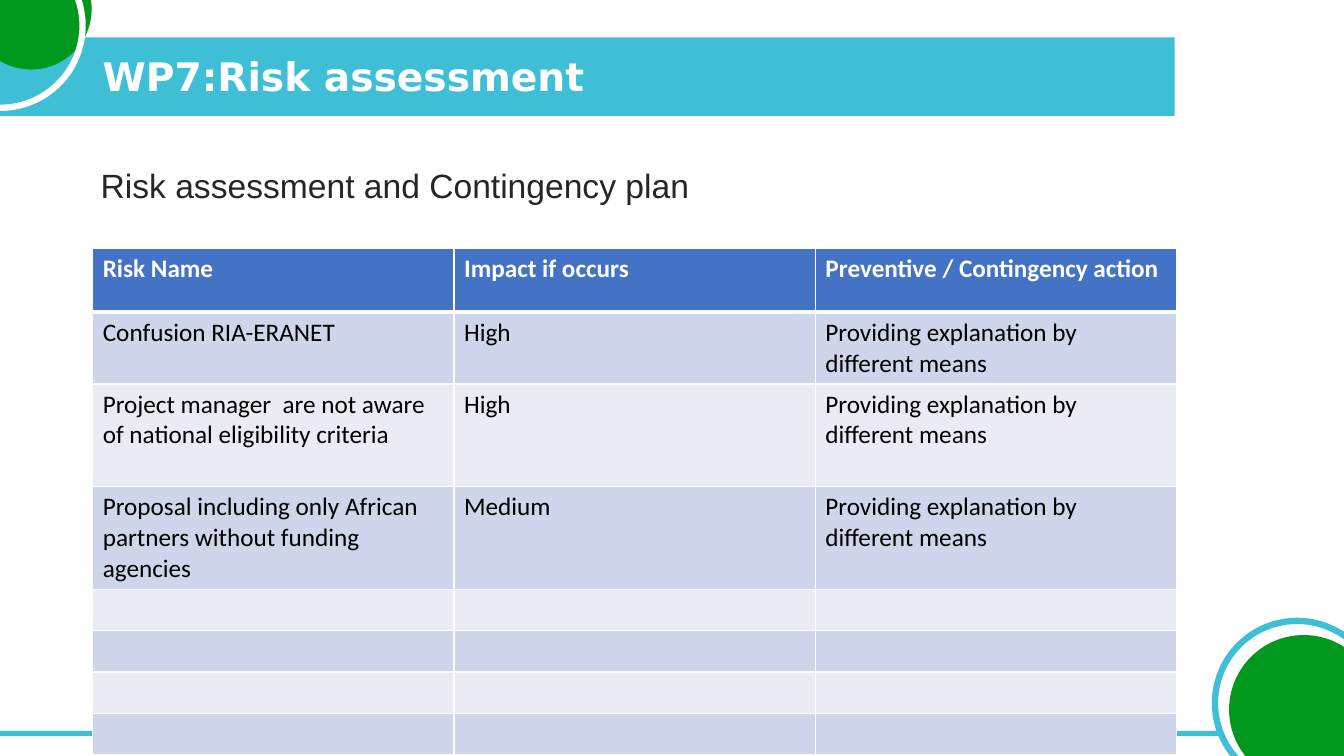
from lxml.etree import SubElement
from pptx import Presentation
from pptx.dml.color import RGBColor
from pptx.enum.shapes import MSO_SHAPE
from pptx.enum.text import MSO_ANCHOR
from pptx.oxml.ns import qn
from pptx.util import Inches, Pt

TEAL = RGBColor(0x3E, 0xBF, 0xD6)
GREEN = RGBColor(0x00, 0x99, 0x1D)
WHITE = RGBColor(0xFF, 0xFF, 0xFF)
BLACK = RGBColor(0x00, 0x00, 0x00)
DARK = RGBColor(0x26, 0x26, 0x26)
HEADER_BLUE = RGBColor(0x44, 0x72, 0xC4)
BANDS = [RGBColor(0xCF, 0xD5, 0xEA), RGBColor(0xE9, 0xEB, 0xF5)]

TITLE_FONT = dict(name="DejaVu Sans", size=Pt(28), bold=True)
SUBTITLE_FONT = dict(name="Arial", size=Pt(24), bold=False)
HEADER_FONT = dict(name="Calibri", size=Pt(18), bold=True)
CELL_FONT = dict(HEADER_FONT, bold=False)

ACTION = "Providing explanation by different means"
RISKS = [
    ("Risk Name", "Impact if occurs", "Preventive / Contingency action"),
    ("Confusion RIA-ERANET", "High", ACTION),
    ("Project manager  are not aware of national eligibility criteria", "High", ACTION),
    ("Proposal including only African partners without funding agencies", "Medium", ACTION),
] + [("", "", "")] * 4
# Row heights in percent of the slide height
ROW_HEIGHTS = [8.5, 9.5, 13.6, 13.6] + [5.45] * 4


def part(box, x, y, w, h):
    """Place a part in a box, by percent of the box's width and height."""
    left, top, width, height = box
    return (int(left + width * x / 100), int(top + height * y / 100),
            int(width * w / 100), int(height * h / 100))


def set_font(font, color, values):
    for name, value in values.items():
        setattr(font, name, value)
    font.color.rgb = color


def add_filled(slide, kind, box, fill=None, line=None):
    sp = slide.shapes.add_shape(kind, *box)
    sp.shadow.inherit = False
    if fill is None:
        sp.fill.background()
    else:
        sp.fill.solid()
        sp.fill.fore_color.rgb = fill
    if line is None:
        sp.line.fill.background()
    else:
        sp.line.color.rgb = line
        sp.line.width = Pt(4.5)


def add_frame(slide, box):
    """Title band, footer line and corner circles."""
    for bar in [(0, 4.93, 87.4, 10.4), (0, 96.67, 90.92, 0.67)]:
        add_filled(slide, MSO_SHAPE.RECTANGLE, part(box, *bar), TEAL)
    circles = [  # left, top, diameter in percent of the height, fill, line
        (90.4, 82.13, 21.73, None, TEAL),
        (91.45, 84, 19.73, GREEN, None),
        (-2.18, -6.8, 16, GREEN, None),
        (-6.08, -7.47, 21.73, None, WHITE),
    ]
    for x, y, diameter, fill, line in circles:
        left, top, _, size = part(box, x, y, 0, diameter)
        add_filled(slide, MSO_SHAPE.OVAL, (left, top, size, size), fill, line)


def add_text(slide, box, text, color, font, anchor=MSO_ANCHOR.TOP, before=0):
    tf = slide.shapes.add_textbox(*box).text_frame
    tf.word_wrap = True
    tf.vertical_anchor = anchor
    p = tf.paragraphs[0]
    p.line_spacing = 0.9
    p.space_before = Pt(before)
    r = p.add_run()
    r.text = text
    set_font(r.font, color, font)


def add_headings(slide, box):
    add_text(slide, part(box, 6.75, 21.73, 84.7, 8), "Risk assessment and Contingency plan",
             DARK, SUBTITLE_FONT, before=10)
    add_text(slide, part(box, 6.9, 6.67, 79.37, 7.47), "WP7:Risk assessment",
             WHITE, TITLE_FONT, MSO_ANCHOR.MIDDLE)


def set_borders(cell, widths):
    tc_pr = cell._tc.get_or_add_tcPr()
    for i, (side, width) in enumerate(widths.items()):
        ln = SubElement(tc_pr, qn(f"a:ln{side}"), w=str(Pt(width)))
        fill = SubElement(ln, qn("a:solidFill"))
        SubElement(fill, qn("a:srgbClr"), val=str(WHITE))
        tc_pr.insert(i, ln)


def add_risk_table(slide, box):
    area = part(box, 6.9, 32.8, 80.65, sum(ROW_HEIGHTS))
    table = slide.shapes.add_table(len(RISKS), len(RISKS[0]), *area).table
    for i, (texts, height) in enumerate(zip(RISKS, ROW_HEIGHTS)):
        table.rows[i].height = part(box, 0, 0, 0, height)[3]
        header = i == 0
        for cell, text in zip(table.rows[i].cells, texts):
            cell.fill.solid()
            cell.fill.fore_color.rgb = HEADER_BLUE if header else BANDS[(i - 1) % 2]
            set_borders(cell, dict(L=1, R=1, T=3 if i == 1 else 1, B=3 if header else 1))
            p = cell.text_frame.paragraphs[0]
            set_font(p.font, WHITE if header else BLACK, HEADER_FONT if header else CELL_FONT)
            if text:
                r = p.add_run()
                r.text = text
                set_font(r.font, WHITE if header else BLACK,
                         HEADER_FONT if header else CELL_FONT)


def main():
    prs = Presentation()
    prs.slide_width, prs.slide_height = Inches(13.33), Inches(7.5)
    slide = prs.slides.add_slide(prs.slide_layouts[6])
    box = (0, 0, prs.slide_width, prs.slide_height)
    for add_region in (add_frame, add_headings, add_risk_table):
        add_region(slide, box)
    prs.save("out.pptx")


if __name__ == "__main__":
    main()
